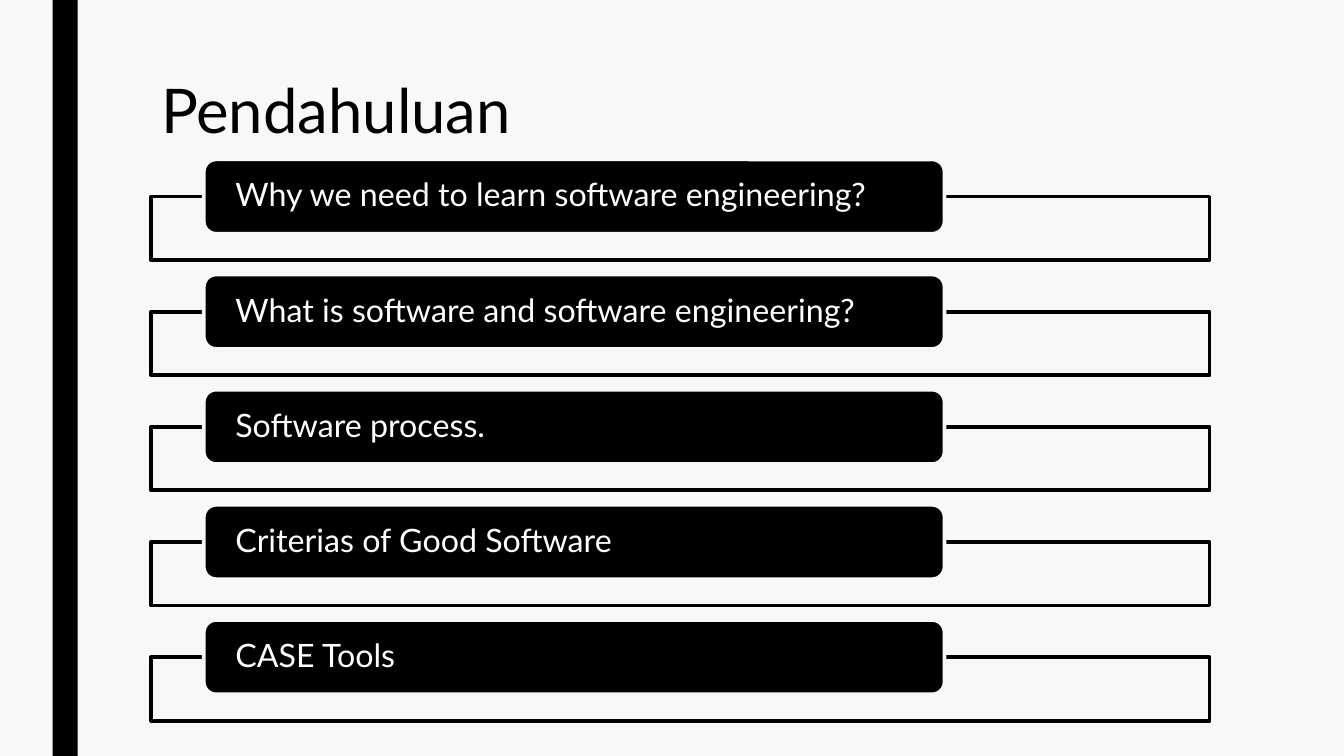
"""Build the Pendahuluan slide: a title above five framed topic tabs."""
from lxml import etree
from pptx import Presentation
from pptx import util as u
from pptx.dml.color import RGBColor
from pptx.enum import shapes, text
from pptx.oxml import ns

BLACK = RGBColor(0x00, 0x00, 0x00)
WHITE = RGBColor(0xFF, 0xFF, 0xFF)
PAPER = RGBColor(0xF8, 0xF8, 0xF8)
TOPICS = [
    "Why we need to learn software engineering?",
    "What is software and software engineering?",
    "Software process.",
    "Criterias of Good Software",
    "CASE Tools",
]
FIRST_FRAME_TOP = 140.4
FIRST_TAB_TOP = 113.8
PITCH = 82.25


def add_box(kind, left, top, width, height, fill, line=None):
    shape = slide.shapes.add_shape(
        kind, u.Pt(left), u.Pt(top), u.Pt(width), u.Pt(height))
    shape.shadow.inherit = False
    shape.fill.solid()
    shape.fill.fore_color.rgb = fill
    if line is None:
        shape.line.fill.background()
    else:
        shape.line.color.rgb = line
        shape.line.width = u.Pt(2.75)
    return shape


def write(shape, words, size, color, anchor, inset, spacing, margin=0):
    frame = shape.text_frame
    frame.word_wrap = True
    frame.vertical_anchor = anchor
    frame.margin_left = frame.margin_right = u.Pt(inset)
    frame.margin_top = frame.margin_bottom = u.Pt(margin)
    paragraph = frame.paragraphs[0]
    paragraph.alignment = text.PP_ALIGN.LEFT
    paragraph.line_spacing = spacing
    run = paragraph.add_run()
    run.text = words
    run.font.name = "Lato"
    run.font.size = u.Pt(size)
    run.font.color.rgb = color


presentation = Presentation()
presentation.slide_width = u.Pt(960)
presentation.slide_height = u.Pt(540)
slide = presentation.slides.add_slide(presentation.slide_layouts[6])
slide.background.fill.solid()
slide.background.fill.fore_color.rgb = PAPER

add_box(shapes.MSO_SHAPE.RECTANGLE, 37.5, 0, 18, 540, BLACK)

title = slide.shapes.add_textbox(u.Pt(108), u.Pt(54), u.Pt(756), u.Pt(116.6))
write(title, "Pendahuluan", size=44, color=BLACK,
      anchor=text.MSO_ANCHOR.TOP, inset=7.2, spacing=0.89, margin=3.6)

for index, topic in enumerate(TOPICS):
    offset = index * PITCH
    topic_frame = add_box(shapes.MSO_SHAPE.RECTANGLE, 108,
                          FIRST_FRAME_TOP + offset, 756, 45.4, PAPER, BLACK)
    fill_color = topic_frame.fill._xPr.find(ns.qn("a:solidFill"))[0]
    etree.SubElement(fill_color, ns.qn("a:alpha"), val="90000")

    tab = add_box(shapes.MSO_SHAPE.ROUNDED_RECTANGLE, 145.5,
                  FIRST_TAB_TOP + offset, 529.2, 53.2, BLACK, PAPER)
    write(tab, topic, size=23, color=WHITE,
          anchor=text.MSO_ANCHOR.MIDDLE, inset=20, spacing=0.9)

presentation.save("out.pptx")
